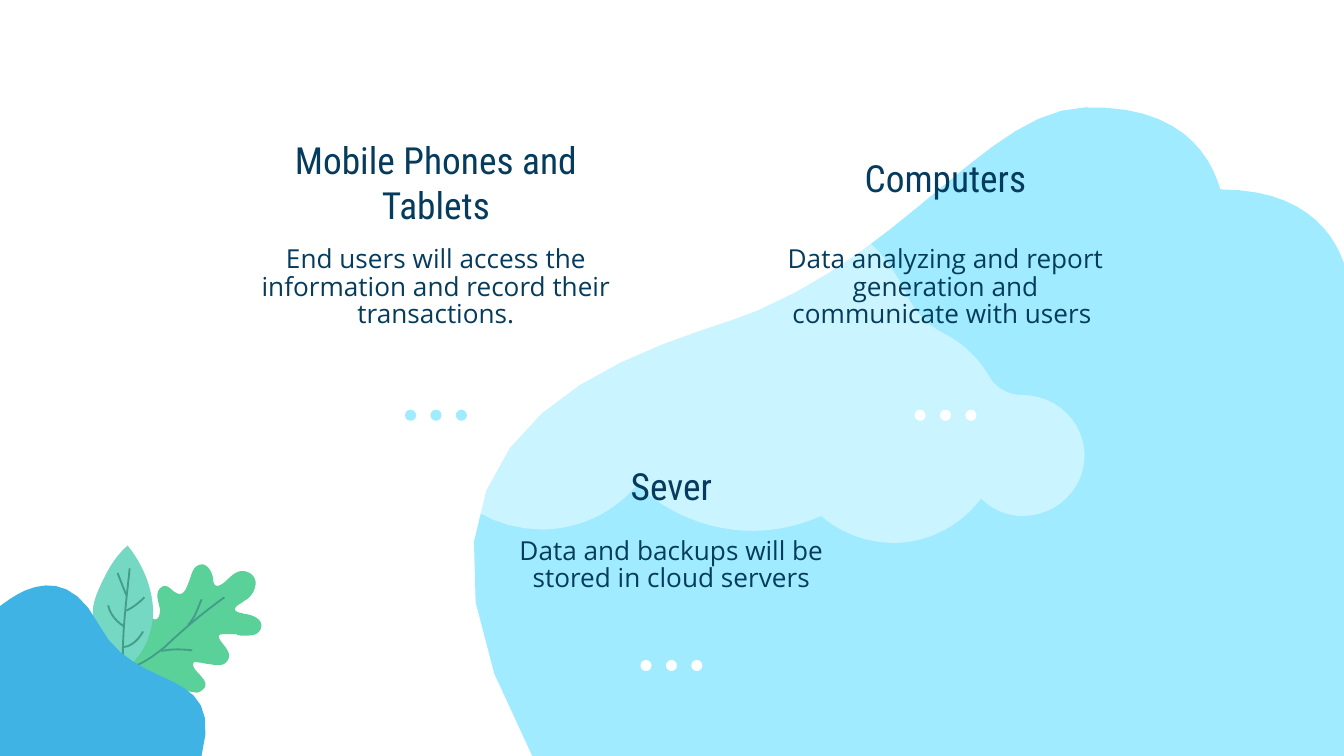
"""Build a slide about three parts of a system on a cloud backdrop with leaves."""
from dataclasses import dataclass

from lxml.etree import SubElement
from pptx import Presentation
from pptx.dml.color import RGBColor as Rgb
from pptx.enum.shapes import MSO_SHAPE as Shape
from pptx.enum.text import MSO_ANCHOR as Anchor, PP_ALIGN as Align
from pptx.oxml.ns import qn
from pptx.util import Cm, Pt


@dataclass(frozen=True)
class Theme:
    ink: str = "053B5C"
    sky: str = "A0EBFF"
    white: str = "FFFFFF"
    sea: str = "3FB3E4"
    oak: str = "5AD199"
    mint: str = "74D8C2"
    vein: str = "439D8A"
    title_font: str = "Roboto Condensed"
    body_font: str = "Open Sans"
    title_size: float = 20
    body_size: float = 14
    body_spacing: float = 0.88
    vein_width: float = 1


THEME = Theme()
UNIT = Cm(2.54) / 100
CURVE_STEPS = 12
COLUMN_WIDTH, BODY_HEIGHT = 7.24, 2.77
DOT_SIZE, DOT_GAP = 0.21, 0.48

TOPICS = [
    {"title": "Mobile Phones and Tablets",
     "body": "End users will access the information and record their transactions.",
     "left": 4.62, "title_top": 2.34, "title_height": 1.9, "body_top": 4.22,
     "dots_y": 7.85, "dots": THEME.sky},
    {"title": "Computers",
     "body": "Data analyzing and report generation and communicate with users ",
     "left": 14.25, "title_top": 2.69, "title_height": 1.37, "body_top": 4.22,
     "dots_y": 7.85, "dots": THEME.white},
    {"title": "Sever",
     "body": "Data and backups will be stored in cloud servers",
     "left": 9.07, "title_top": 8.51, "title_height": 1.37, "body_top": 9.73,
     "dots_y": 12.58, "dots": THEME.white},
]

OAK_LEAF = [
    (151, 420), (145, 420, 143, 425, 142, 429), (140, 434, 138, 442, 134, 442),
    (132, 442, 131, 441, 129, 440), (127, 438, 125, 436, 122, 436),
    (114, 439, 118, 448, 119, 453), (119, 456, 119, 461, 115, 461),
    (108, 457, 107, 450, 101, 449), (96, 449, 95, 453, 95, 456),
    (95, 461, 98, 466, 100, 471), (101, 476, 101, 482, 100, 487),
    (100, 490, 97, 494, 97, 497), (98, 501, 106, 501, 110, 502),
    (114, 503, 119, 504, 123, 506), (129, 508, 137, 515, 144, 515),
    (147, 516, 149, 515, 151, 513), (154, 511, 153, 507, 151, 505),
    (149, 502, 145, 499, 144, 496), (143, 493, 145, 492, 147, 493),
    (150, 493, 153, 494, 154, 494), (156, 494, 159, 495, 161, 495),
    (164, 495, 167, 495, 169, 492), (173, 487, 168, 482, 165, 478),
    (161, 473, 163, 472, 166, 472), (170, 472, 174, 472, 176, 472),
    (177, 473, 179, 473, 182, 473), (187, 473, 192, 473, 194, 468),
    (197, 461, 187, 457, 182, 457), (180, 456, 176, 456, 175, 454),
    (174, 451, 180, 449, 182, 447), (186, 445, 189, 441, 190, 436),
    (191, 432, 189, 428, 185, 426), (174, 421, 169, 435, 162, 436),
    (158, 436, 159, 431, 158, 428), (157, 425, 155, 421, 151, 420),
]
MINT_LEAF = [
    (95, 406), (87, 413, 82, 421, 78, 429), (74, 437, 70, 445, 69, 454),
    (69, 463, 72, 471, 75, 479), (79, 486, 83, 494, 91, 498),
    (106, 491, 113, 472, 114, 457), (114, 439, 107, 421, 95, 406),
]
HILL = [(0, 451), (2, 451, 44, 409, 73, 464), (101, 519, 168, 492, 150, 562.5), (0, 562.5)]
BACKDROP = [
    (908, 141), (900, 113, 876, 78, 807, 80), (737, 82, 679, 182, 564, 231),
    (504, 257, 251, 299, 396, 562.5), (1000, 562.5), (1000, 196),
    (991, 170, 967, 141, 908, 141),
]
CLOUD = [
    (560, 145), (524, 145, 491, 160, 468, 185), (453, 201, 431, 210, 409, 210),
    (403, 210), (352, 210, 310, 251, 310, 302), (310, 353, 352, 394, 403, 394),
    (432, 394, 457, 381, 474, 361), (497, 382, 527, 395, 560, 395),
    (578, 395, 595, 391, 611, 384), (625, 396, 644, 404, 665, 404),
    (691, 404, 715, 391, 730, 371), (738, 379, 749, 384, 761, 384),
    (786, 384, 807, 364, 807, 339), (807, 314, 786, 294, 761, 294),
    (751, 294, 741, 289, 736, 280), (728, 266, 716, 255, 702, 248),
    (690, 242, 680, 231, 674, 218), (654, 175, 611, 145, 560, 145),
]
OAK_VEINS = [
    [(167, 444.5), (147, 459, 136, 469, 122, 482), (102, 498, 96, 498, 69, 502.5)],
    [(120, 484.5), (127, 483, 135, 483, 143, 484)],
    [(150, 446), (147, 453, 145, 460, 140, 465)],
]
MINT_VEINS = [
    [(96.5, 423), (94, 448, 90, 476, 92, 501)],
    [(87.5, 426.5), (94, 443)],
    [(80.5, 450.5), (82, 457, 86, 462, 92, 466)],
    [(79.5, 476.5), (81, 483, 85, 488, 91, 491.5)],
    [(106.5, 470), (103, 476, 98, 481, 92, 481.5)],
    [(107.5, 444.5), (103, 449, 99, 452, 94, 454.5)],
]
SCENERY = [
    (OAK_LEAF, THEME.oak, None), (OAK_VEINS, THEME.vein, None),
    (MINT_LEAF, THEME.mint, None), (MINT_VEINS, THEME.vein, None),
    (HILL, THEME.sea, None), (BACKDROP, THEME.sky, None), (CLOUD, THEME.white, 45),
]


def trace(outline):
    points = [outline[0]]
    for segment in outline[1:]:
        if len(segment) == 2:
            points.append(segment)
            continue
        corners = [points[-1], segment[:2], segment[2:4], segment[4:]]
        for step in range(1, CURVE_STEPS + 1):
            t = step / CURVE_STEPS
            weights = ((1 - t) ** 3, 3 * t * (1 - t) ** 2, 3 * t * t * (1 - t), t ** 3)
            points.append(tuple(sum(w * c[axis] for w, c in zip(weights, corners))
                                for axis in (0, 1)))
    return [(x * UNIT, y * UNIT) for x, y in points]


def paint(shape, color, alpha=None):
    shape.shadow.inherit = False
    shape.fill.solid()
    shape.fill.fore_color.rgb = Rgb.from_string(color)
    shape.line.fill.background()
    if alpha is not None:
        color_element = shape.fill._xPr.find(qn("a:solidFill"))[0]
        SubElement(color_element, qn("a:alpha"), val=str(alpha * 1000))


def draw_outline(slide, outline, color, alpha):
    points = trace(outline)
    builder = slide.shapes.build_freeform(*points[0])
    builder.add_line_segments(points[1:], close=True)
    paint(builder.convert_to_shape(), color, alpha)


def draw_veins(slide, veins, color):
    traced = [trace(vein) for vein in veins]
    builder = slide.shapes.build_freeform(*traced[0][0])
    for points in traced:
        builder.move_to(*points[0])
        builder.add_line_segments(points[1:], close=False)
    shape = builder.convert_to_shape()
    shape.shadow.inherit = False
    shape.fill.background()
    shape.line.color.rgb = Rgb.from_string(color)
    shape.line.width = Pt(THEME.vein_width)


def add_text(slide, text, left, top, height, font, size, inset, spacing):
    box = slide.shapes.add_textbox(Cm(left), Cm(top), Cm(COLUMN_WIDTH), Cm(height))
    frame = box.text_frame
    frame.word_wrap = True
    frame.vertical_anchor = Anchor.TOP
    frame.margin_left = frame.margin_right = Cm(0.25)
    frame.margin_top, frame.margin_bottom = Cm(inset), Cm(0)
    frame.text = text
    paragraph = frame.paragraphs[0]
    paragraph.alignment = Align.CENTER
    paragraph.line_spacing = spacing
    for run in paragraph.runs:
        run.font.name, run.font.size = font, Pt(size)
        run.font.color.rgb = Rgb.from_string(THEME.ink)


def add_topic(slide, topic):
    left = topic["left"]
    add_text(slide, topic["title"], left, topic["title_top"], topic["title_height"],
             THEME.title_font, THEME.title_size, 0.25, 1.0)
    add_text(slide, topic["body"], left, topic["body_top"], BODY_HEIGHT,
             THEME.body_font, THEME.body_size, 0.44, THEME.body_spacing)
    for offset in (-1, 0, 1):
        x = left + COLUMN_WIDTH / 2 + offset * DOT_GAP - DOT_SIZE / 2
        y = topic["dots_y"] - DOT_SIZE / 2
        dot = slide.shapes.add_shape(Shape.OVAL, Cm(x), Cm(y), Cm(DOT_SIZE), Cm(DOT_SIZE))
        paint(dot, topic["dots"])


def main():
    presentation = Presentation()
    presentation.slide_width, presentation.slide_height = Cm(25.4), Cm(14.29)
    slide = presentation.slides.add_slide(presentation.slide_layouts[6])
    for outline, color, alpha in SCENERY:
        if isinstance(outline[0], list):
            draw_veins(slide, outline, color)
        else:
            draw_outline(slide, outline, color, alpha)
    for topic in TOPICS:
        add_topic(slide, topic)
    presentation.save("out.pptx")


if __name__ == "__main__":
    main()
